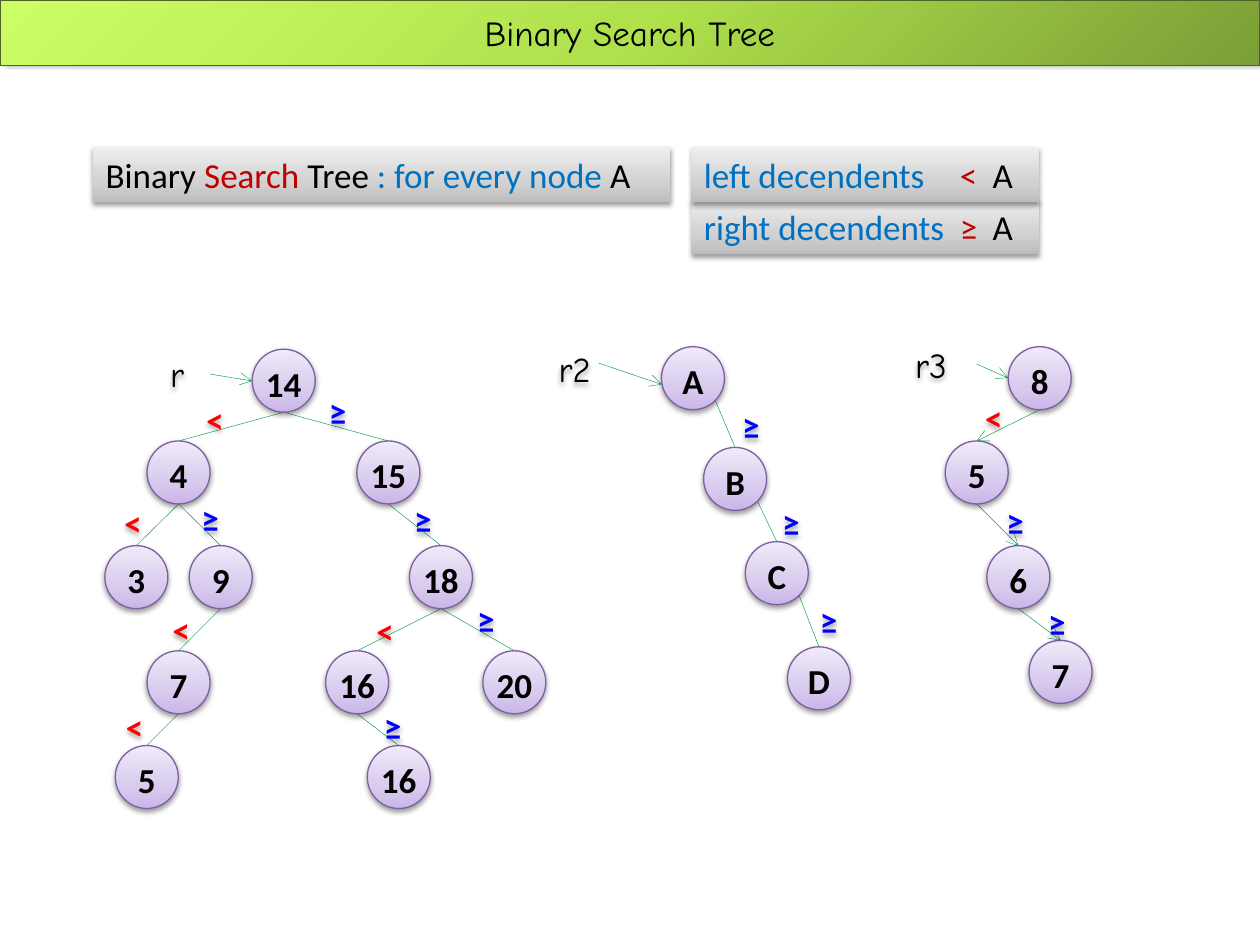
from copy import deepcopy
from lxml.etree import SubElement
from pptx import Presentation
from pptx.dml.color import RGBColor
from pptx.enum.shapes import MSO_CONNECTOR, MSO_SHAPE
from pptx.enum.text import MSO_ANCHOR, MSO_AUTO_SIZE, PP_ALIGN
from pptx.oxml.ns import qn
from pptx.util import Cm, Pt

BLACK, RED, BLUE, CRIMSON, SKY = "000000", "FF0000", "0000FF", "C00000", "0070C0"
GREEN = "009E47"
LILAC = [(0, "C9B5E8"), (0.35, "D8CBEE"), (1, "F0EAF9")]
GREY = [(0, "BDBDBD"), (0.35, "D1D1D1"), (1, "EEEEEE")]
LIME = [(0, "7B9E36"), (0.5, "AFE14C"), (1, "CCFF66")]
SOFT = (38, 3.1, 1.6, 90)   # opacity, blur, distance, angle
SIZE, ROW = 1.27, 1.11      # node diameter, height of a line of text
SIGNS = {"<": (RED, 1.03), "≥": (BLUE, 0.87)}


def hue(code):
    return RGBColor.from_string(code)


def style(item, values):
    for name, value in values.items():
        setattr(item, name, value)


class Board:
    plain = {"name": "Calibri", "size": Pt(20), "bold": False}
    strong = {**plain, "bold": True}
    comic = {**plain, "name": "Comic Neue"}

    def __init__(self, slide):
        self.slide = slide
        self.shapes = slide.shapes

    def group(self):
        self.shapes = self.slide.shapes.add_group_shape().shapes

    def blend(self, shape, stops):
        fill = shape.fill
        fill.gradient()
        fill.gradient_angle = 90
        marks = shape.element.spPr.find(qn("a:gradFill")).find(qn("a:gsLst"))
        marks.insert(1, deepcopy(marks[0]))
        for mark, (place, code) in zip(fill.gradient_stops, stops):
            mark.color.rgb = hue(code)
            mark.position = place

    def outline(self, shape, code, width):
        shape.line.color.rgb = hue(code)
        shape.line.width = Pt(width)

    def shade(self, shape, alpha, blur, dist, angle):
        shape.shadow.inherit = False
        effects = shape.element.spPr.find(qn("a:effectLst"))
        outer = SubElement(effects, qn("a:outerShdw"), blurRad=str(Pt(blur)),
                           dist=str(Pt(dist)), dir=str(angle * 60000), rotWithShape="0")
        color = SubElement(outer, qn("a:srgbClr"), val=str(hue(BLACK)))
        SubElement(color, qn("a:alpha"), val=str(alpha * 1000))

    def letter(self, shape, runs, font, align, **frame):
        style(shape.text_frame, frame)
        para = shape.text_frame.paragraphs[0]
        para.alignment = align
        for text, code in runs:
            run = para.add_run()
            run.text = text
            style(run.font, font)
            run.font.color.rgb = hue(code)
        return para

    def title(self, text, width, height):
        bar = self.slide.shapes.title
        style(bar, {"left": 0, "top": 0, "width": Cm(width), "height": Cm(height)})
        self.blend(bar, LIME)
        grad = bar.element.spPr.find(qn("a:gradFill"))
        grad.remove(grad.find(qn("a:lin")))
        round_ = SubElement(grad, qn("a:path"), {"path": "circle"})
        SubElement(round_, qn("a:fillToRect"), l="100000", t="100000")
        self.outline(bar, "4F6228", 0.75)
        self.shade(bar, 40, 4, 3, 315)
        self.letter(bar, [(text, BLACK)], self.comic, PP_ALIGN.CENTER,
                    vertical_anchor=MSO_ANCHOR.MIDDLE)

    def panel(self, left, top, width, runs, tabs=()):
        box = self.shapes.add_shape(MSO_SHAPE.RECTANGLE, Cm(left), Cm(top), Cm(width), Cm(ROW))
        self.blend(box, GREY)
        box.line.fill.background()
        self.shade(box, *SOFT)
        para = self.letter(box, runs, self.plain, PP_ALIGN.LEFT, word_wrap=True,
                           vertical_anchor=MSO_ANCHOR.TOP,
                           auto_size=MSO_AUTO_SIZE.SHAPE_TO_FIT_TEXT)
        if tabs:
            stops = SubElement(para._p.get_or_add_pPr(), qn("a:tabLst"))
            for tab in tabs:
                SubElement(stops, qn("a:tab"), pos=str(Cm(tab)), algn="l")

    def label(self, left, top, width, text, code, font, wrap):
        box = self.shapes.add_textbox(Cm(left), Cm(top), Cm(width), Cm(ROW))
        self.shade(box, *SOFT)
        self.letter(box, [(text, code)], font, PP_ALIGN.LEFT, word_wrap=wrap,
                    auto_size=MSO_AUTO_SIZE.SHAPE_TO_FIT_TEXT)

    def edge(self, start, end, arrow):
        line = self.shapes.add_connector(MSO_CONNECTOR.STRAIGHT, *map(Cm, (*start, *end)))
        self.outline(line, GREEN, 0.25)
        props = line.element.spPr
        if arrow:
            SubElement(props.find(qn("a:ln")), qn("a:tailEnd"), type="arrow")
        SubElement(props, qn("a:effectLst"))

    def node(self, text, mid, top):
        ball = self.shapes.add_shape(MSO_SHAPE.OVAL, Cm(mid - SIZE / 2), Cm(top),
                                     Cm(SIZE), Cm(SIZE))
        self.blend(ball, LILAC)
        self.outline(ball, "7D60A0", 0.75)
        self.shade(ball, *SOFT)
        self.letter(ball, [(text, BLACK)], self.strong, PP_ALIGN.CENTER, word_wrap=True,
                    vertical_anchor=MSO_ANCHOR.MIDDLE, margin_left=0, margin_right=0,
                    margin_top=Cm(0.1), margin_bottom=0)

    def tree(self, root, pointer, nodes, arrow=False, slant=False):
        self.group()
        self.label(*root, BLACK, self.comic, True)
        self.edge(*pointer, True)
        # Edges leave a parent at its bottom, or at its lower right when slanted
        bend = SIZE / 2 * 0.71
        shift, drop = (bend, SIZE / 2 + bend) if slant else (0, SIZE)
        for _, mid, top, *link in nodes:
            if link:
                _, x, y, *_ = nodes[link[0]]
                self.edge((x + shift, y + drop), (mid, top), arrow)
        for text, mid, top, *_ in nodes:
            self.node(text, mid, top)
        for _, _, _, *link in nodes:
            if link:
                _, sign, left, top = link
                code, width = SIGNS[sign]
                self.label(left, top, width, sign, code, self.strong, False)


# Node: text, centre x, top, then parent index, sign, sign left, sign top
FULL = [
    ("14", 5.72, 7.04),
    ("4", 3.6, 8.89, 0, "<", 3.91, 7.9),
    ("15", 7.83, 8.89, 0, "≥", 6.38, 7.75),
    ("3", 2.75, 11, 1, "<", 2.26, 9.98),
    ("9", 4.45, 11, 1, "≥", 3.81, 9.91),
    ("18", 8.89, 11, 2, "≥", 8.1, 9.93),
    ("7", 3.6, 13.12, 4, "<", 3.23, 12.14),
    ("16", 7.2, 13.12, 5, "<", 7.34, 12.17),
    ("20", 10.37, 13.12, 5, "≥", 9.37, 11.94),
    ("5", 2.96, 15.03, 6, "<", 2.29, 14.1),
    ("16", 8.04, 15.03, 7, "≥", 7.49, 14.1),
]
CHAIN = [
    ("A", 13.97, 6.99),
    ("B", 14.82, 9.02, 0, "≥", 14.71, 8.03),
    ("C", 15.66, 10.92, 1, "≥", 15.52, 9.98),
    ("D", 16.51, 13.04, 2, "≥", 16.28, 11.96),
]
BENT = [
    ("8", 20.96, 6.99),
    ("5", 19.69, 8.89, 0, "<", 19.61, 7.87),
    ("6", 20.53, 11, 1, "≥", 20.04, 9.96),
    ("7", 21.38, 12.91, 2, "≥", 20.88, 12.01),
]


def main():
    deck = Presentation()
    style(deck, {"slide_width": Cm(25.4), "slide_height": Cm(19.05)})
    board = Board(deck.slides.add_slide(deck.slide_layouts[5]))
    board.title("Binary Search Tree", 25.4, 1.32)

    # Definition
    board.panel(1.88, 2.97, 11.63, [("Binary ", BLACK), ("Search", CRIMSON), (" Tree ", BLACK),
                                    (": for every node ", SKY), ("A", BLACK)])
    for side, sign, top in (("right", "≥", 4.01), ("left", "<", 2.97)):
        board.panel(13.94, top, 7.01, [(f"{side} decendents\t", SKY), (f"{sign}\t", CRIMSON),
                                       ("A", BLACK)], tabs=(5.16, 5.82))

    # Three trees
    board.tree((3.18, 6.99, 1.06, "r"), ((4.23, 7.54), (5.08, 7.68)), FULL)
    board.tree((11.01, 6.89, 1.69, "r2"), ((12.07, 7.32), (13.34, 7.75)), CHAIN, slant=True)
    board.tree((18.2, 6.79, 1.48, "r3"), ((19.69, 7.34), (20.32, 7.62)), BENT, arrow=True)

    deck.save("out.pptx")


if __name__ == "__main__":
    main()
